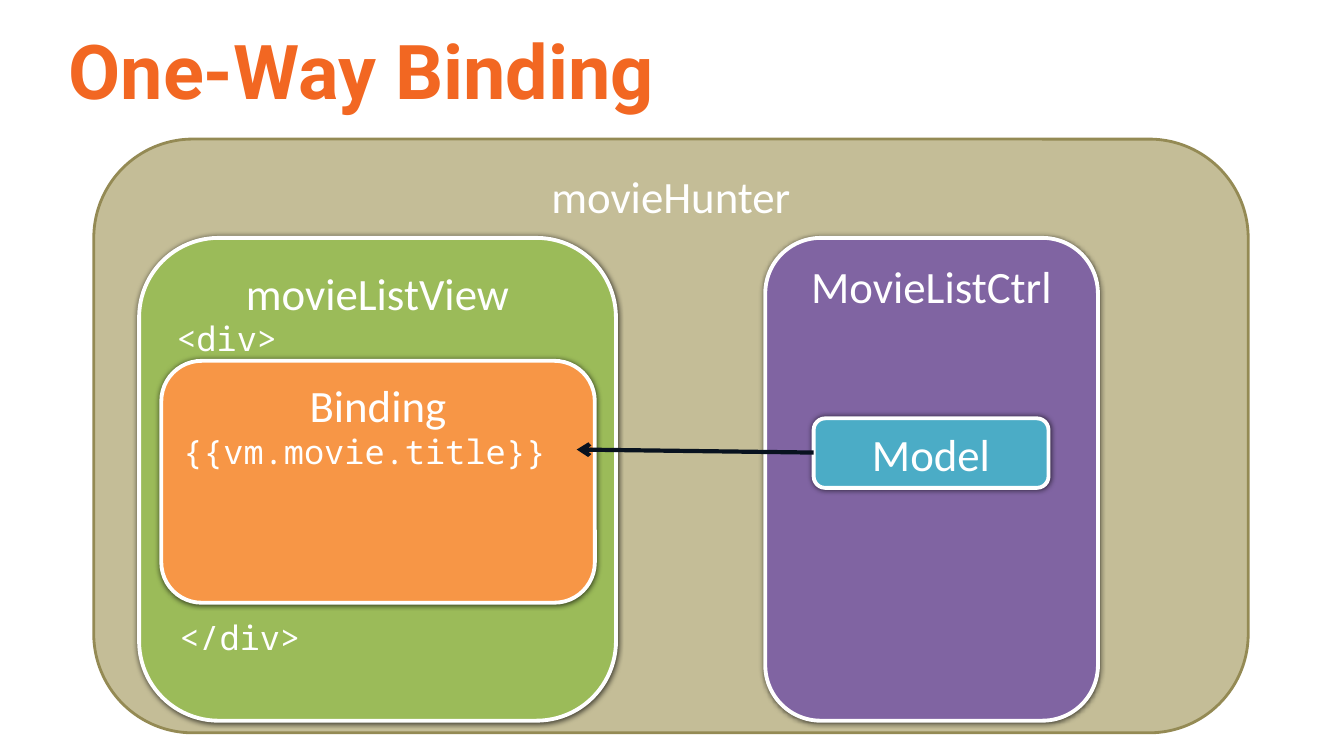
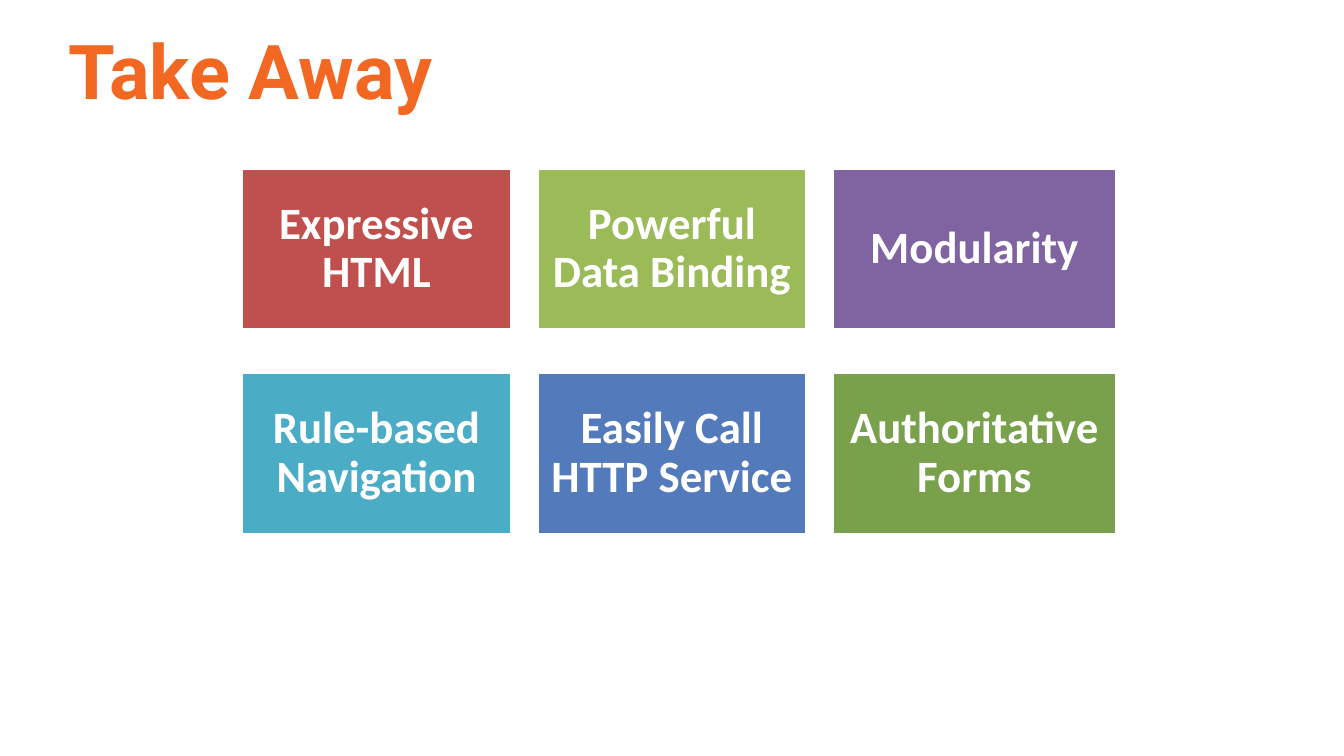
import dataclasses

import lxml.etree
import pptx
import pptx.dml.color
import pptx.enum.shapes
import pptx.enum.text
import pptx.oxml
import pptx.oxml.ns
import pptx.util

PX = 9144  # 100 px to the inch
ALIGN = pptx.enum.text.PP_ALIGN
ANCHOR = pptx.enum.text.MSO_ANCHOR
SHAPE = pptx.enum.shapes.MSO_SHAPE


@dataclasses.dataclass(frozen=True)
class Theme:
    heading_font: str = "Roboto"
    body_font: str = "Calibri"
    code_font: str = "Noto Sans Mono"
    title_size: int = 54
    body_size: int = 32
    code_size: int = 24
    title: str = "F26722"
    white: str = "FFFFFF"
    sand: str = "C4BD97"
    sand_edge: str = "948A54"
    red: str = "C0504D"
    green: str = "9BBB59"
    purple: str = "8064A2"
    teal: str = "4BACC6"
    orange: str = "F79646"
    blue: str = "537ABA"
    leaf: str = "79A14C"
    arrow: str = "08121F"


THEME = Theme()
TITLE_AREA = (68, 20, 1201, 112)

BINDING_TITLE = "One-Way Binding"
APP = ("movieHunter", (93, 138, 1145, 589))
# label, code line, area, fill, anchor
PARTS = [
    ("movieListView", None, (138, 236, 473, 479), THEME.green, ANCHOR.TOP),
    ("MovieListCtrl", None, (759, 236, 330, 479), THEME.purple, ANCHOR.TOP),
    ("Model", None, (807, 415, 233, 69), THEME.teal, ANCHOR.MIDDLE),
    ("Binding", "{{vm.movie.title}}", (160, 358, 430, 240), THEME.orange, ANCHOR.TOP),
]
TAGS = [("<div>", (165, 310, 122, 50)), ("</div>", (168, 607, 142, 50))]
ARROW = (572, 446, 807, 449)

SUMMARY_TITLE = "Take Away"
SUMMARY_ROWS = [
    [("Expressive HTML", THEME.red), ("Powerful Data Binding", THEME.green),
     ("Modularity", THEME.purple)],
    [("Rule-based Navigation", THEME.teal), ("Easily Call HTTP Service", THEME.blue),
     ("Authoritative Forms", THEME.leaf)],
]
GRID_LEFT, GRID_TOP = 240, 167
COLUMN_WIDTHS = (267, 267, 281)
COLUMN_GAP, ROW_GAP, ROW_HEIGHT = 26, 43, 160


def emu(lengths):
    return [length * PX for length in lengths]


def rgb(colour):
    return pptx.dml.color.RGBColor.from_string(colour)


def set_insets(frame, left, top, right, bottom):
    frame.margin_left, frame.margin_top, frame.margin_right, frame.margin_bottom = emu(
        (left, top, right, bottom))


def add_run(para, text, font, size, colour=THEME.white, bold=False):
    span = para.add_run()
    span.text = text
    span.font.name = font
    span.font.size = pptx.util.Pt(size)
    span.font.color.rgb = rgb(colour)
    span.font.bold = bold


def add_code(para, text):
    para.alignment = ALIGN.LEFT
    add_run(para, text, THEME.code_font, THEME.code_size)


def add_box(slide, kind, area, fill, label, edge=THEME.white, edge_width=2.75,
            anchor=ANCHOR.MIDDLE, bold=False):
    box = slide.shapes.add_shape(kind, *emu(area))
    box.shadow.inherit = False
    box.fill.solid()
    box.fill.fore_color.rgb = rgb(fill)
    box.line.color.rgb = rgb(edge)
    box.line.width = pptx.util.Pt(edge_width)
    frame = box.text_frame
    frame.word_wrap = True
    frame.vertical_anchor = anchor
    para = frame.paragraphs[0]
    para.alignment = ALIGN.CENTER
    add_run(para, label, THEME.body_font, THEME.body_size, bold=bold)
    return box


def add_glow_shadow(box):
    """Put a soft black shadow evenly around the box."""
    effects = box._element.spPr.find(pptx.oxml.ns.qn("a:effectLst"))
    effects.append(pptx.oxml.parse_xml(
        f'<a:outerShdw {pptx.oxml.ns.nsdecls("a")} blurRad="50800" dist="0" dir="0" '
        'rotWithShape="0"><a:srgbClr val="000000"><a:alpha val="64000"/></a:srgbClr>'
        '</a:outerShdw>'))


def add_arrow(slide, ends):
    """Draw a line whose arrowhead sits at its first point."""
    arrow = slide.shapes.add_connector(
        pptx.enum.shapes.MSO_CONNECTOR.STRAIGHT, *emu(ends))
    arrow.line.color.rgb = rgb(THEME.arrow)
    arrow.line.width = pptx.util.Pt(3)
    qn = pptx.oxml.ns.qn
    lxml.etree.SubElement(arrow.line._get_or_add_ln(), qn("a:headEnd"), type="arrow")
    lxml.etree.SubElement(arrow._element.spPr, qn("a:effectLst"))


def add_tag(slide, text, area):
    frame = slide.shapes.add_textbox(*emu(area)).text_frame
    frame.word_wrap = False
    add_code(frame.paragraphs[0], text)


def add_titled_slide(deck, text):
    slide = deck.slides.add_slide(deck.slide_layouts[5])
    title = slide.shapes.title
    title.left, title.top, title.width, title.height = emu(TITLE_AREA)
    frame = title.text_frame
    frame.auto_size = pptx.enum.text.MSO_AUTO_SIZE.NONE
    frame.vertical_anchor = ANCHOR.MIDDLE
    set_insets(frame, 0, 5, 10, 5)
    para = frame.paragraphs[0]
    para.alignment = ALIGN.LEFT
    para.line_spacing = 0.85
    add_run(para, text, THEME.heading_font, THEME.title_size, THEME.title, bold=True)
    return slide


def build_binding_slide(deck):
    slide = add_titled_slide(deck, BINDING_TITLE)
    label, area = APP
    app = add_box(slide, SHAPE.ROUNDED_RECTANGLE, area, THEME.sand, label,
                  edge=THEME.sand_edge, edge_width=2, anchor=ANCHOR.TOP)
    set_insets(app.text_frame, 10, 1, 10, 1)
    for label, code, area, fill, anchor in PARTS:
        box = add_box(slide, SHAPE.ROUNDED_RECTANGLE, area, fill, label, anchor=anchor)
        add_glow_shadow(box)
        if code:
            add_code(box.text_frame.add_paragraph(), code)
    add_arrow(slide, ARROW)
    for text, area in TAGS:
        add_tag(slide, text, area)


def build_summary_slide(deck):
    slide = add_titled_slide(deck, SUMMARY_TITLE)
    for row, cards in enumerate(SUMMARY_ROWS):
        left = GRID_LEFT
        top = GRID_TOP + row * (ROW_HEIGHT + ROW_GAP)
        for (label, fill), width in zip(cards, COLUMN_WIDTHS):
            card = add_box(slide, SHAPE.RECTANGLE, (left, top, width, ROW_HEIGHT), fill,
                           label, edge_width=2, bold=True)
            set_insets(card.text_frame, 12, 12, 12, 12)
            card.text_frame.paragraphs[0].line_spacing = 0.9
            left += width + COLUMN_GAP


def main():
    deck = pptx.Presentation()
    deck.slide_width, deck.slide_height = emu((1333, 750))
    build_binding_slide(deck)
    build_summary_slide(deck)
    deck.save("out.pptx")


if __name__ == "__main__":
    main()
